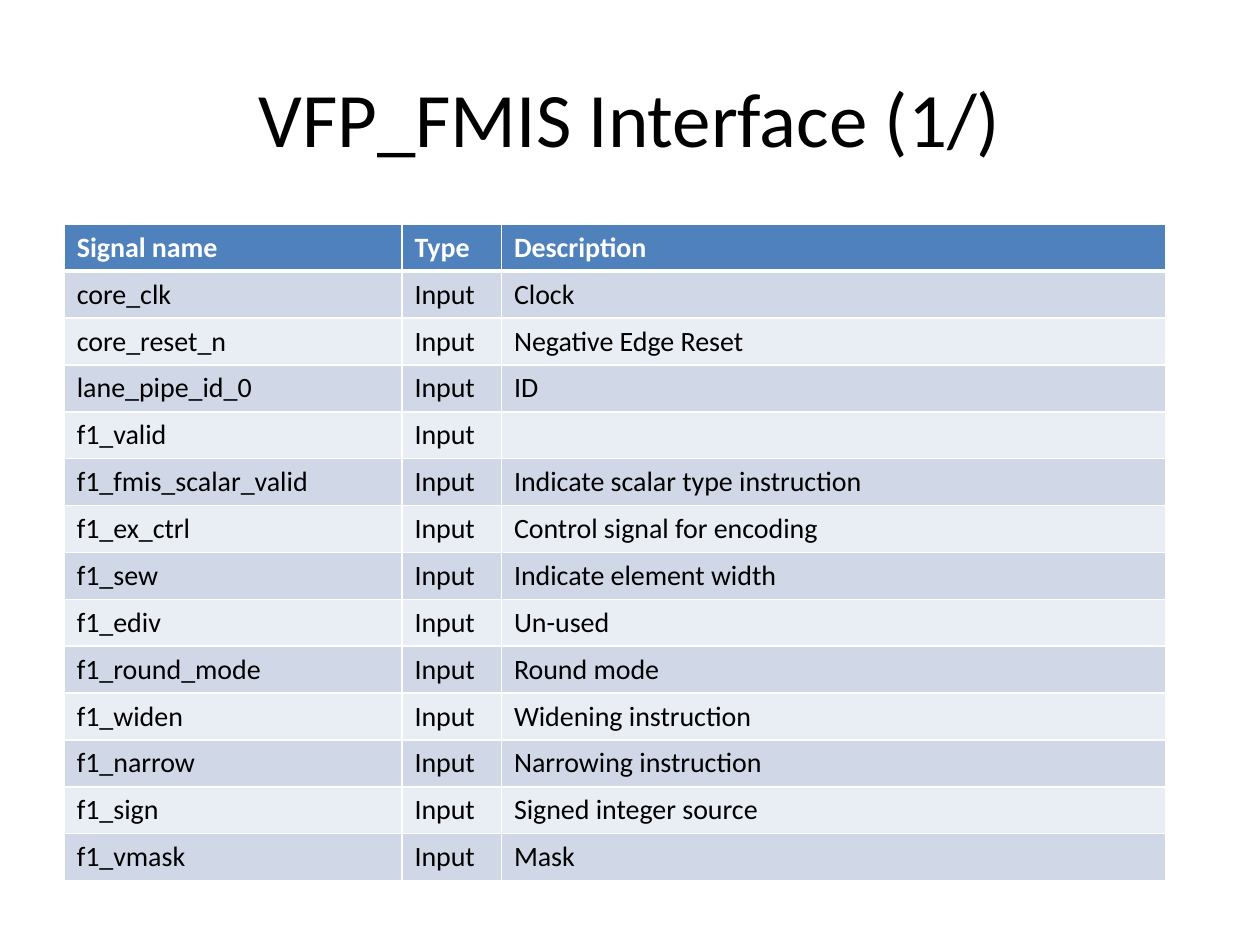
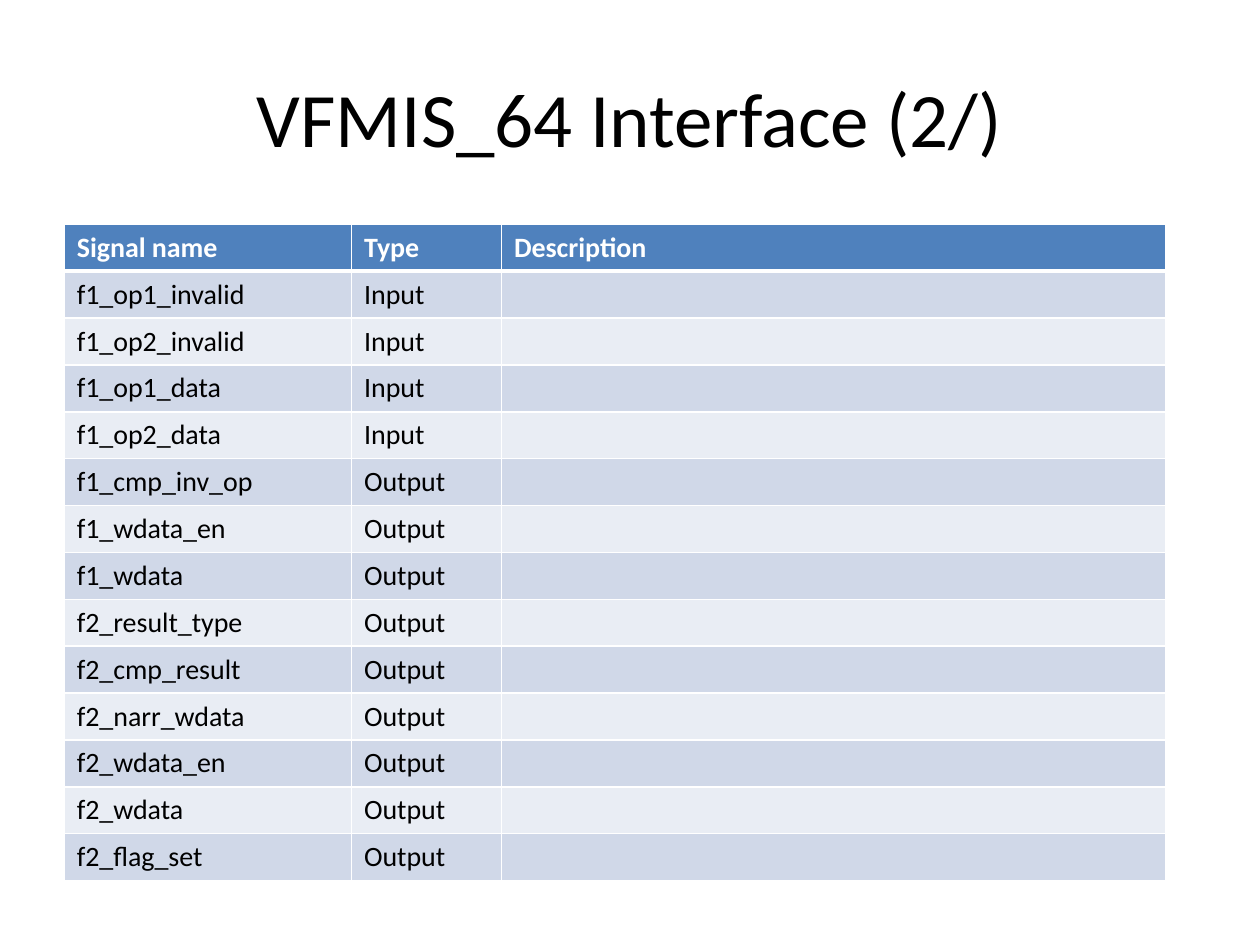
from lxml.etree import SubElement
from pptx import Presentation
from pptx.dml.color import RGBColor
from pptx.enum.text import MSO_ANCHOR, PP_ALIGN
from pptx.oxml.ns import qn
from pptx.util import Inches, Pt

HEAD = ("Signal name", "Type", "Description")
PAGES = [
    {
        "title": "VFP_FMIS Interface (1/)",
        "cols": (2.68, 0.79, 5.27),
        "rows": [
            ("core_clk", "Input", "Clock"),
            ("core_reset_n", "Input", "Negative Edge Reset"),
            ("lane_pipe_id_0", "Input", "ID"),
            ("f1_valid", "Input", ""),
            ("f1_fmis_scalar_valid", "Input", "Indicate scalar type instruction"),
            ("f1_ex_ctrl", "Input", "Control signal for encoding"),
            ("f1_sew", "Input", "Indicate element width"),
            ("f1_ediv", "Input", "Un-used"),
            ("f1_round_mode", "Input", "Round mode"),
            ("f1_widen", "Input", "Widening instruction"),
            ("f1_narrow", "Input", "Narrowing instruction"),
            ("f1_sign", "Input", "Signed integer source"),
            ("f1_vmask", "Input", "Mask"),
        ],
    },
    {
        "title": "VFMIS_64 Interface (2/)",
        "cols": (2.28, 1.19, 5.27),
        "rows": [
            ("f1_op1_invalid", "Input", ""),
            ("f1_op2_invalid", "Input", ""),
            ("f1_op1_data", "Input", ""),
            ("f1_op2_data", "Input", ""),
            ("f1_cmp_inv_op", "Output", ""),
            ("f1_wdata_en", "Output", ""),
            ("f1_wdata", "Output", ""),
            ("f2_result_type", "Output", ""),
            ("f2_cmp_result", "Output", ""),
            ("f2_narr_wdata", "Output", ""),
            ("f2_wdata_en", "Output", ""),
            ("f2_wdata", "Output", ""),
            ("f2_flag_set", "Output", ""),
        ],
    },
]
FONT = "Calibri"
WHITE, BLACK = "FFFFFF", "000000"
BLUE, BANDS = "4F81BD", ("E9EDF4", "D0D8E8")
SIZE, ROW = 16, 0.37
LEFT, TOP = 0.51, 1.78


def color(code):
    return RGBColor.from_string(code)


def style(font, size, code, bold=False):
    font.name, font.size, font.bold = FONT, Pt(size), bold
    font.color.rgb = color(code)


def border(cell, row):
    props = cell._tc.get_or_add_tcPr()
    wide = {"T": 3 if row == 1 else 1, "B": 3 if row == 0 else 1}
    for side in "LRTB":
        line = SubElement(props, qn("a:ln" + side), w=str(Pt(wide.get(side, 1))))
        SubElement(SubElement(line, qn("a:solidFill")), qn("a:srgbClr"), val=WHITE)


def fill_cell(cell, text, row):
    border(cell, row)
    cell.fill.solid()
    cell.fill.fore_color.rgb = color(BANDS[row % 2] if row else BLUE)
    para = cell.text_frame.paragraphs[0]
    para.text = text
    for run in para.runs:
        style(run.font, SIZE, BLACK if row else WHITE, row == 0)
    if not text:
        SubElement(para._p, qn("a:endParaRPr"), sz=str(SIZE * 100))


def add_title(slide, text):
    title = slide.shapes.title
    title.left, title.top = Inches(0.5), Inches(0.3)
    title.width, title.height = Inches(9), Inches(1.25)
    frame = title.text_frame
    frame.text = text
    frame.vertical_anchor = MSO_ANCHOR.MIDDLE
    para = frame.paragraphs[0]
    para.alignment = PP_ALIGN.CENTER
    style(para.runs[0].font, 44, BLACK)


def add_grid(slide, cols, rows):
    data = [HEAD, *rows]
    grid = slide.shapes.add_table(
        len(data), len(cols), Inches(LEFT), Inches(TOP),
        Inches(sum(cols)), Inches(ROW * len(data))).table
    for col, width in zip(grid.columns, cols):
        col.width = Inches(width)
    for r, line in enumerate(data):
        for c, text in enumerate(line):
            fill_cell(grid.cell(r, c), text, r)


def main():
    deck = Presentation()
    deck.slide_width, deck.slide_height = Inches(10), Inches(7.5)
    for page in PAGES:
        slide = deck.slides.add_slide(deck.slide_layouts[5])
        add_title(slide, page["title"])
        add_grid(slide, page["cols"], page["rows"])
    deck.save("out.pptx")


if __name__ == "__main__":
    main()
